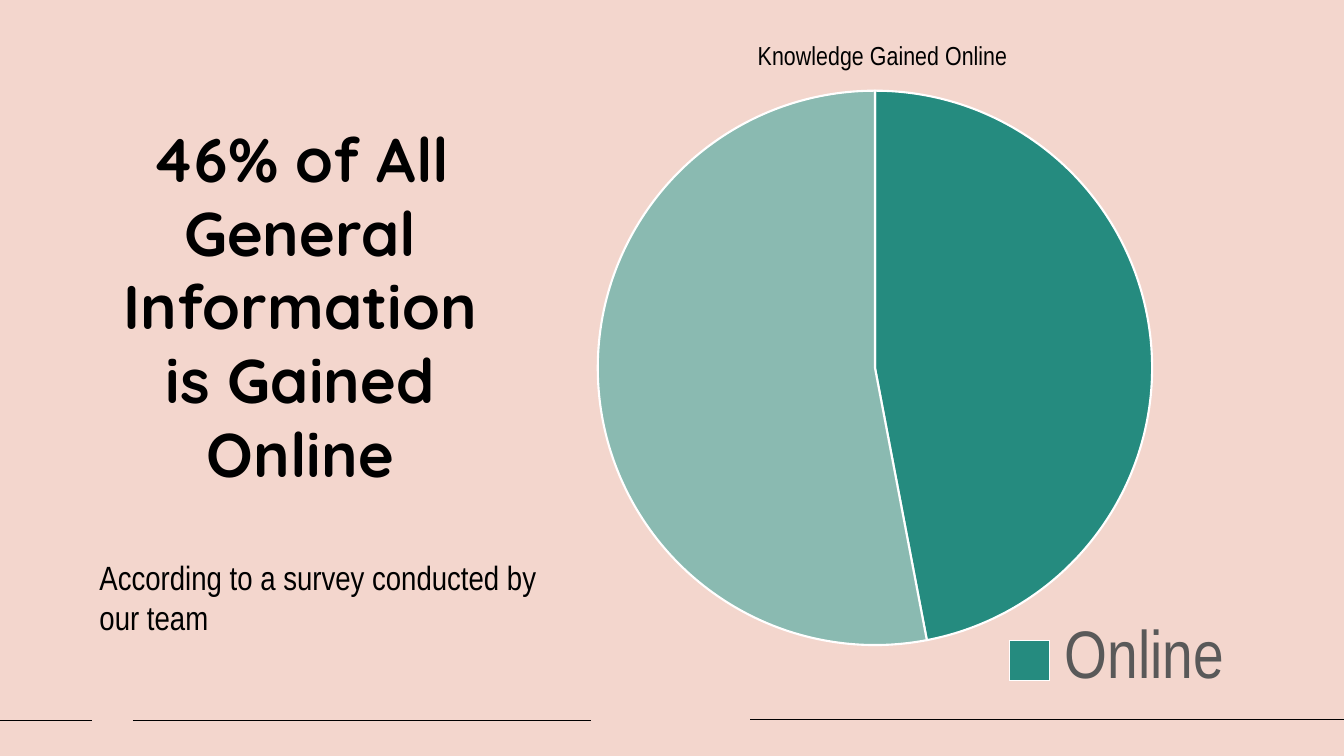
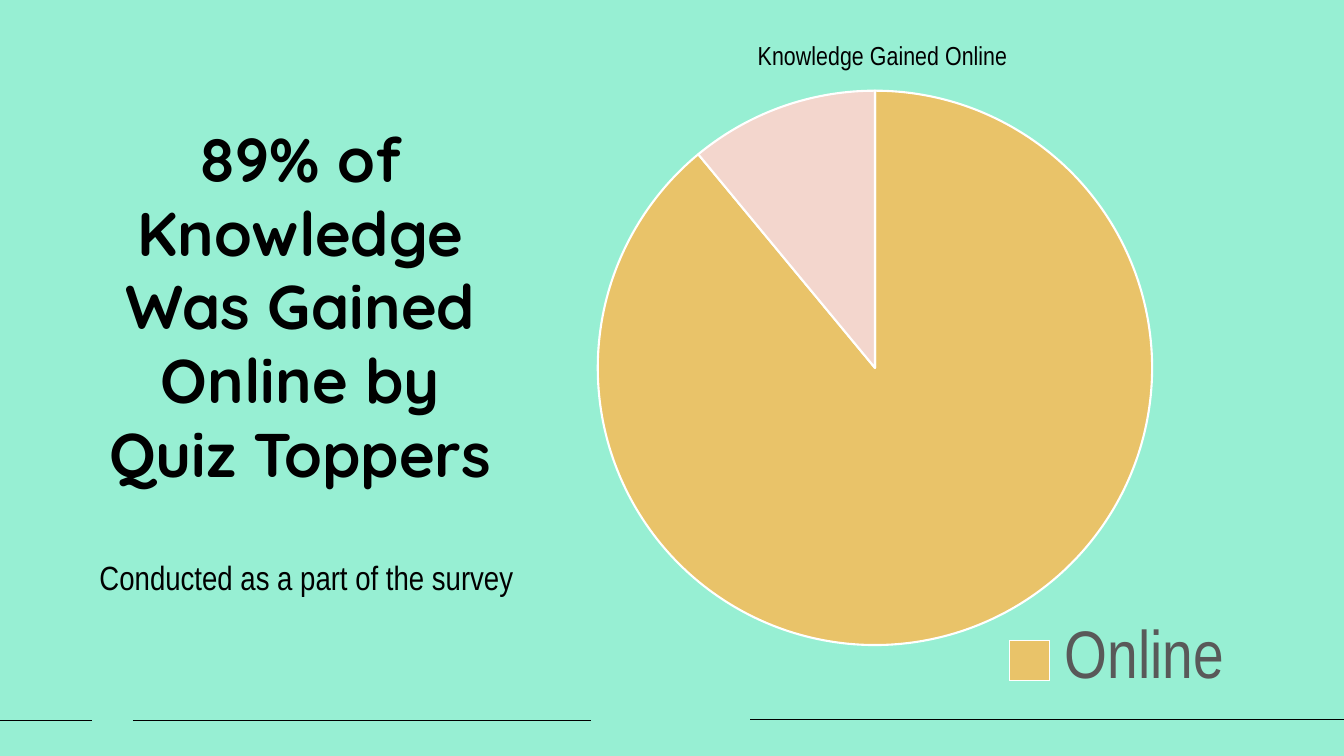
from lxml import etree
from pptx import Presentation
from pptx.chart.data import CategoryChartData
from pptx.dml.color import RGBColor
from pptx.enum.chart import XL_CHART_TYPE, XL_LEGEND_POSITION
from pptx.enum.shapes import MSO_CONNECTOR
from pptx.enum.text import PP_ALIGN
from pptx.oxml.ns import qn
from pptx.util import Pt

PIE = XL_CHART_TYPE.PIE
LEGEND_BOTTOM = XL_LEGEND_POSITION.BOTTOM
STRAIGHT = MSO_CONNECTOR.STRAIGHT
CENTER = PP_ALIGN.CENTER
LEFT = PP_ALIGN.LEFT

PINK = RGBColor(0xF3, 0xD6, 0xCD)
MINT = RGBColor(0x97, 0xEF, 0xD3)
TEAL = RGBColor(0x25, 0x8B, 0x7F)
SAGE = RGBColor(0x8A, 0xBA, 0xB1)
GOLD = RGBColor(0xE9, 0xC3, 0x69)
GRAY = RGBColor(0x59, 0x59, 0x59)
BLACK = RGBColor(0, 0, 0)
WHITE = RGBColor(255, 255, 255)

HEADING_FONT = "Quicksand"
BODY_FONT = "Arial Narrow"

SLIDE_SIZE = (960, 540)
TITLE_BOX = (64, 83, 301, 300)
CHART_BOX = (290, 12, 670, 528)
NOTE_BOX = (64, 394, 330, 66)
FOOTER_RULES = [(0, 66, 514.5), (95, 422.5, 514.5), (536, 960, 514)]

SURVEYS = [
    {
        "background": PINK,
        "title": "46% of All General Information\vis Gained Online",
        "note": "According to a survey conducted by our team",
        "values": (47, 53),
        "colors": (TEAL, SAGE),
    },
    {
        "background": MINT,
        "title": "89% of Knowledge Was Gained Online by Quiz Toppers",
        "note": "Conducted as a part of the survey",
        "values": (89, 11),
        "colors": (GOLD, PINK),
    },
]


def style_font(font, name, size, color, bold=False):
    font.name = name
    font.size = Pt(size)
    font.bold = bold
    font.color.rgb = color


def add_footer_rules(slide):
    for start, end, y in FOOTER_RULES:
        rule = slide.shapes.add_connector(STRAIGHT, Pt(start), Pt(y), Pt(end), Pt(y))
        rule.line.color.rgb = BLACK
        rule.line.width = Pt(1)
        etree.SubElement(rule.element.spPr, qn("a:effectLst"))


def add_text(slide, box, text, font_name, size, bold=False, alignment=LEFT, spacing=None):
    shape = slide.shapes.add_textbox(*map(Pt, box))
    shape.text_frame.word_wrap = True
    shape.text_frame.text = text
    paragraph = shape.text_frame.paragraphs[0]
    paragraph.alignment = alignment
    if spacing:
        paragraph.line_spacing = Pt(spacing)
    for run in paragraph.runs:
        style_font(run.font, font_name, size, BLACK, bold)


def add_values(parent, values):
    for tag, value in values.items():
        etree.SubElement(parent, qn(f"c:{tag}")).set("val", str(value))


def place_chart_part(part, index, values):
    for old_layout in part.findall(qn("c:layout")):
        part.remove(old_layout)
    layout = etree.Element(qn("c:layout"))
    add_values(etree.SubElement(layout, qn("c:manualLayout")), values)
    part.insert(index, layout)


def add_pie(slide, box, values, colors):
    data = CategoryChartData()
    data.categories = ["Online", "Others"]
    data.add_series("Series 1", values)
    chart = slide.shapes.add_chart(PIE, *map(Pt, box), data).chart
    style_font(chart.font, BODY_FONT, 10, BLACK)

    plot = chart.plots[0]
    plot.vary_by_categories = True
    for index, color in enumerate(colors):
        point = plot.series[0].points[index]
        point.format.fill.solid()
        point.format.fill.fore_color.rgb = color
        point.format.line.color.rgb = WHITE
        point.format.line.width = Pt(1.5)
    plot_area = chart.element.find(".//" + qn("c:plotArea"))
    place_chart_part(plot_area, 0, {
        "layoutTarget": "inner", "xMode": "edge", "yMode": "edge",
        "x": 0.2, "y": 0.1, "w": 0.6, "h": 0.75,
    })

    chart.has_title = True
    title = chart.chart_title
    title.text_frame.text = "Knowledge Gained Online"
    style_font(title.text_frame.paragraphs[0].runs[0].font, BODY_FONT, 18.6, BLACK)
    title_element = chart.element.find(".//" + qn("c:title"))
    place_chart_part(title_element, 1, {"xMode": "edge", "yMode": "edge", "x": 0.37, "y": 0.03})

    chart.has_legend = True
    chart.legend.position = LEGEND_BOTTOM
    chart.legend.include_in_layout = False
    style_font(chart.legend.font, BODY_FONT, 48, GRAY)
    legend = chart.element.find(".//" + qn("c:legend"))
    place_chart_part(legend, 1, {"xMode": "edge", "yMode": "edge", "x": 0.62, "y": 0.81})
    hidden_entry = etree.Element(qn("c:legendEntry"))
    add_values(hidden_entry, {"idx": 1, "delete": 1})
    legend.insert(1, hidden_entry)


def add_survey_slide(presentation, survey):
    slide = presentation.slides.add_slide(presentation.slide_layouts[6])
    slide.background.fill.solid()
    slide.background.fill.fore_color.rgb = survey["background"]
    add_footer_rules(slide)
    add_text(slide, TITLE_BOX, survey["title"], HEADING_FONT, 44, True, CENTER, 52.6)
    add_pie(slide, CHART_BOX, survey["values"], survey["colors"])
    add_text(slide, NOTE_BOX, survey["note"], BODY_FONT, 24)


def main():
    presentation = Presentation()
    presentation.slide_width, presentation.slide_height = map(Pt, SLIDE_SIZE)
    for survey in SURVEYS:
        add_survey_slide(presentation, survey)
    presentation.save("out.pptx")


if __name__ == "__main__":
    main()
